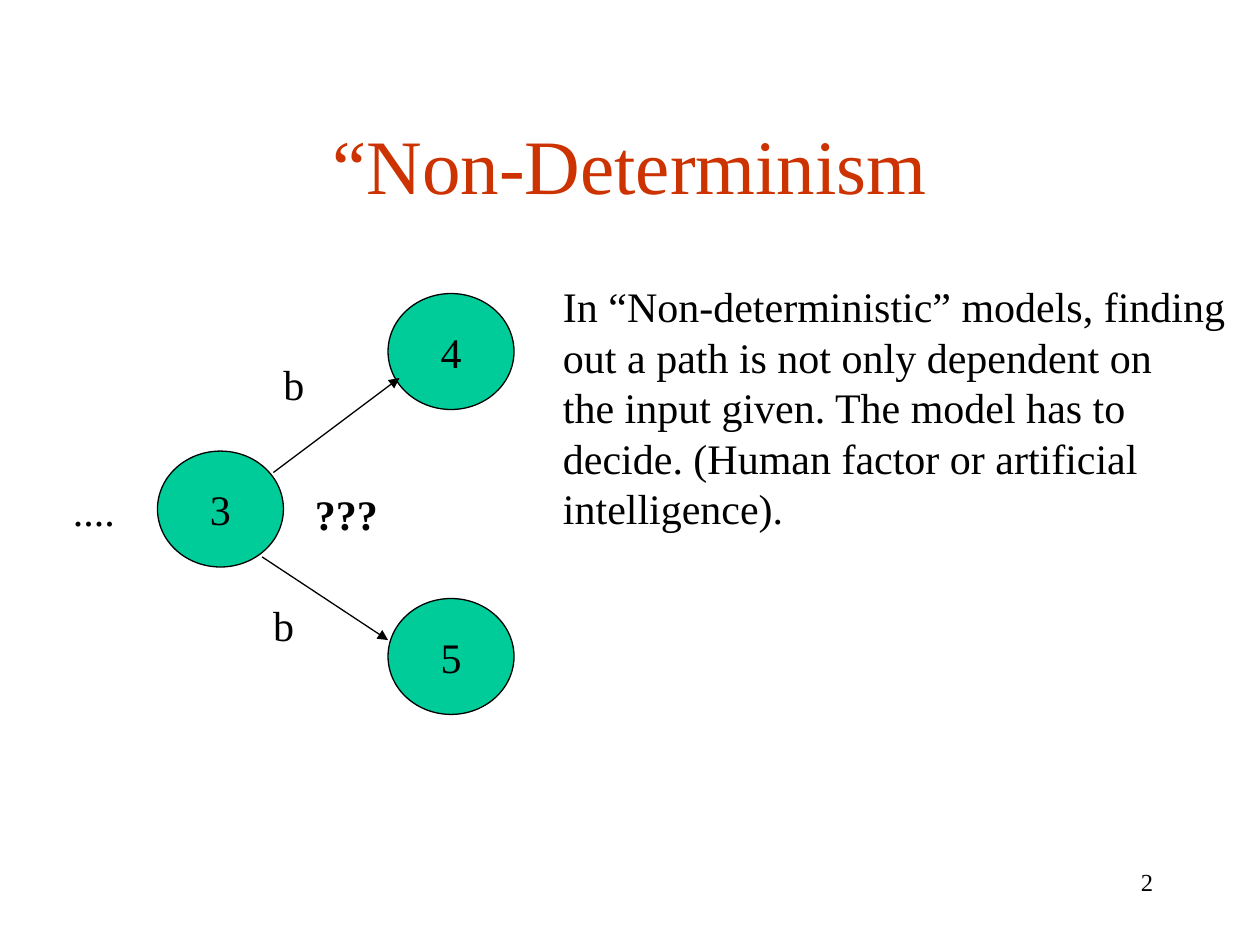
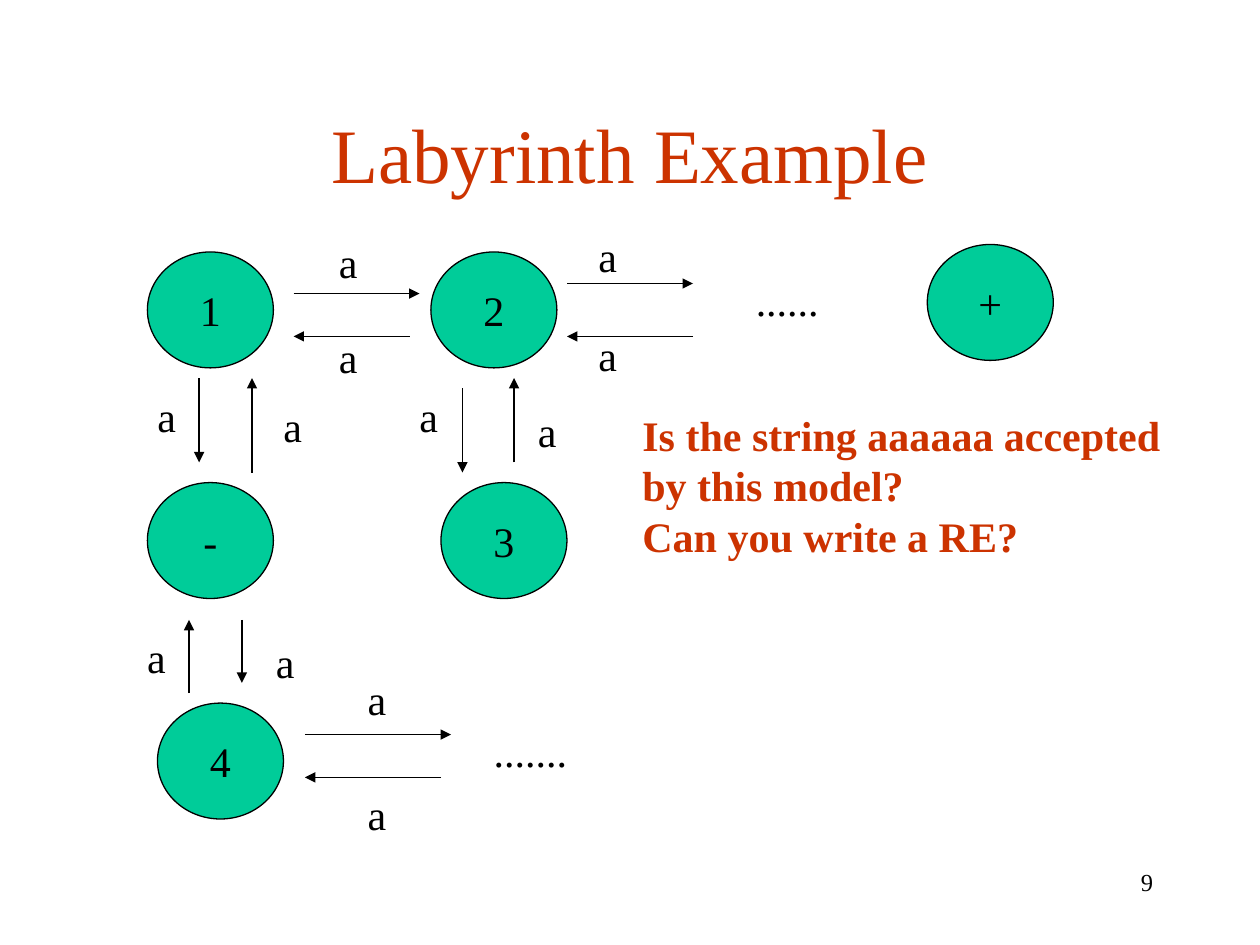
from lxml.etree import SubElement
from pptx import Presentation
from pptx.dml.color import RGBColor
from pptx.enum.shapes import MSO_CONNECTOR, MSO_SHAPE
from pptx.enum.text import MSO_ANCHOR, MSO_AUTO_SIZE, PP_ALIGN
from pptx.oxml.ns import qn
from pptx.util import Inches, Pt

FONT = "Times New Roman"
COLORS = {"paper": "FFFFFF", "ink": "000000", "accent": "CC3300", "node": "00CC99"}


def color(name):
    return RGBColor.from_string(COLORS[name])


def write(frame, text, size=24, tint="ink", bold=False, align=PP_ALIGN.LEFT,
          anchor=MSO_ANCHOR.TOP, wrap=False):
    frame.word_wrap = wrap
    frame.vertical_anchor = anchor
    frame.text = text
    for para in frame.paragraphs:
        para.alignment = align
        for run in para.runs:
            font = run.font
            font.name = FONT
            font.size = Pt(size)
            font.bold = bold
            font.color.rgb = color(tint)


def add_text(slide, text, left, top, width, height=0.5, grow=True, **style):
    box = slide.shapes.add_textbox(*map(Inches, (left, top, width, height)))
    write(box.text_frame, text, **style)
    if grow:
        box.text_frame.auto_size = MSO_AUTO_SIZE.SHAPE_TO_FIT_TEXT


def add_node(slide, label, left, top):
    node = slide.shapes.add_shape(
        MSO_SHAPE.OVAL, Inches(left), Inches(top), Inches(1), Inches(0.92))
    node.shadow.inherit = False
    node.fill.solid()
    node.fill.fore_color.rgb = color("node")
    node.line.color.rgb = color("ink")
    node.line.width = Pt(0.75)
    write(node.text_frame, label, align=PP_ALIGN.CENTER, anchor=MSO_ANCHOR.MIDDLE)


def add_arrow(slide, *ends):
    arrow = slide.shapes.add_connector(MSO_CONNECTOR.STRAIGHT, *map(Inches, ends))
    arrow.line.color.rgb = color("ink")
    arrow.line.width = Pt(0.75)
    SubElement(arrow.line._get_or_add_ln(), qn("a:tailEnd"), type="triangle")
    SubElement(arrow._element.spPr, qn("a:effectLst"))


def add_slide(deck, title, number, height):
    slide = deck.slides.add_slide(deck.slide_layouts[6])
    slide.background.fill.solid()
    slide.background.fill.fore_color.rgb = color("paper")
    add_text(slide, title, 0.75, 0.67, 8.5, height, grow=False, size=44, tint="accent",
             align=PP_ALIGN.CENTER, anchor=MSO_ANCHOR.MIDDLE, wrap=True)
    add_text(slide, number, 7.17, 6.83, 2.08, grow=False, size=14,
             align=PP_ALIGN.RIGHT, wrap=True)
    return slide


def draw_graph(slide, nodes, arrows, letter, width, spots):
    for node in nodes:
        add_node(slide, *node)
    for ends in arrows:
        add_arrow(slide, *ends)
    for left, top in spots:
        add_text(slide, letter, left, top, width)


def build_choice(deck):
    slide = add_slide(deck, "“Non-Determinism", "2", 1.25)
    nodes = [("3", 1.25, 3.58), ("4", 3.08, 2.33), ("5", 3.08, 4.75)]
    arrows = [(2.17, 3.75, 3.17, 3), (2.08, 4.42, 3.08, 5.08)]
    draw_graph(slide, nodes, arrows, "b", 0.36, [(2.15, 2.8), (2.07, 4.71)])
    add_text(slide, "....", 0.48, 3.8, 0.53)
    add_text(slide, "???", 2.4, 3.83, 0.79, bold=True, wrap=True)
    lines = [
        "In “Non-deterministic” models, finding",
        "out a path is not only dependent on",
        "the input given. The model has to",
        "decide. (Human factor or artificial",
        "intelligence).",
    ]
    add_text(slide, "\n".join(lines), 4.37, 2.18, 5.46, 2.1)


def build_maze(deck):
    slide = add_slide(deck, "Labyrinth Example", "9", 1.08)
    nodes = [
        ("1", 1.17, 2), ("2", 3.42, 2), ("+", 7.36, 1.94),
        ("-", 1.17, 3.83), ("3", 3.5, 3.83), ("4", 1.25, 5.58),
    ]
    arrows = [
        (2.33, 2.33, 3.33, 2.33), (3.25, 2.67, 2.33, 2.67),
        (4.5, 2.25, 5.5, 2.25), (5.5, 2.67, 4.5, 2.67),
        (1.58, 3, 1.58, 3.67), (2, 3.75, 2, 3),
        (3.67, 3.08, 3.67, 3.75), (4.08, 3.67, 4.08, 3),
        (1.92, 4.92, 1.92, 5.42), (1.5, 5.5, 1.5, 4.92),
        (2.42, 5.83, 3.58, 5.83), (3.5, 6.17, 2.42, 6.17),
    ]
    spots = [
        (2.59, 1.83), (2.59, 2.58), (4.65, 1.78), (4.65, 2.57),
        (1.15, 3.05), (2.15, 3.13), (3.23, 3.05), (4.17, 3.17),
        (1.07, 4.96), (2.09, 5), (2.82, 5.3), (2.82, 6.21),
    ]
    draw_graph(slide, nodes, arrows, "a", 0.35, spots)
    add_text(slide, "......", 5.9, 2.13, 0.7)
    add_text(slide, ".......", 3.82, 5.71, 0.78)
    lines = ["Is the string aaaaaa accepted", "by this model?", "Can you write a RE?"]
    add_text(slide, "\n".join(lines), 5, 3.2, 4.31, 1.3, tint="accent", bold=True)


def main():
    deck = Presentation()
    deck.slide_width = Inches(10)
    deck.slide_height = Inches(7.5)
    build_choice(deck)
    build_maze(deck)
    deck.save("out.pptx")


if __name__ == "__main__":
    main()
